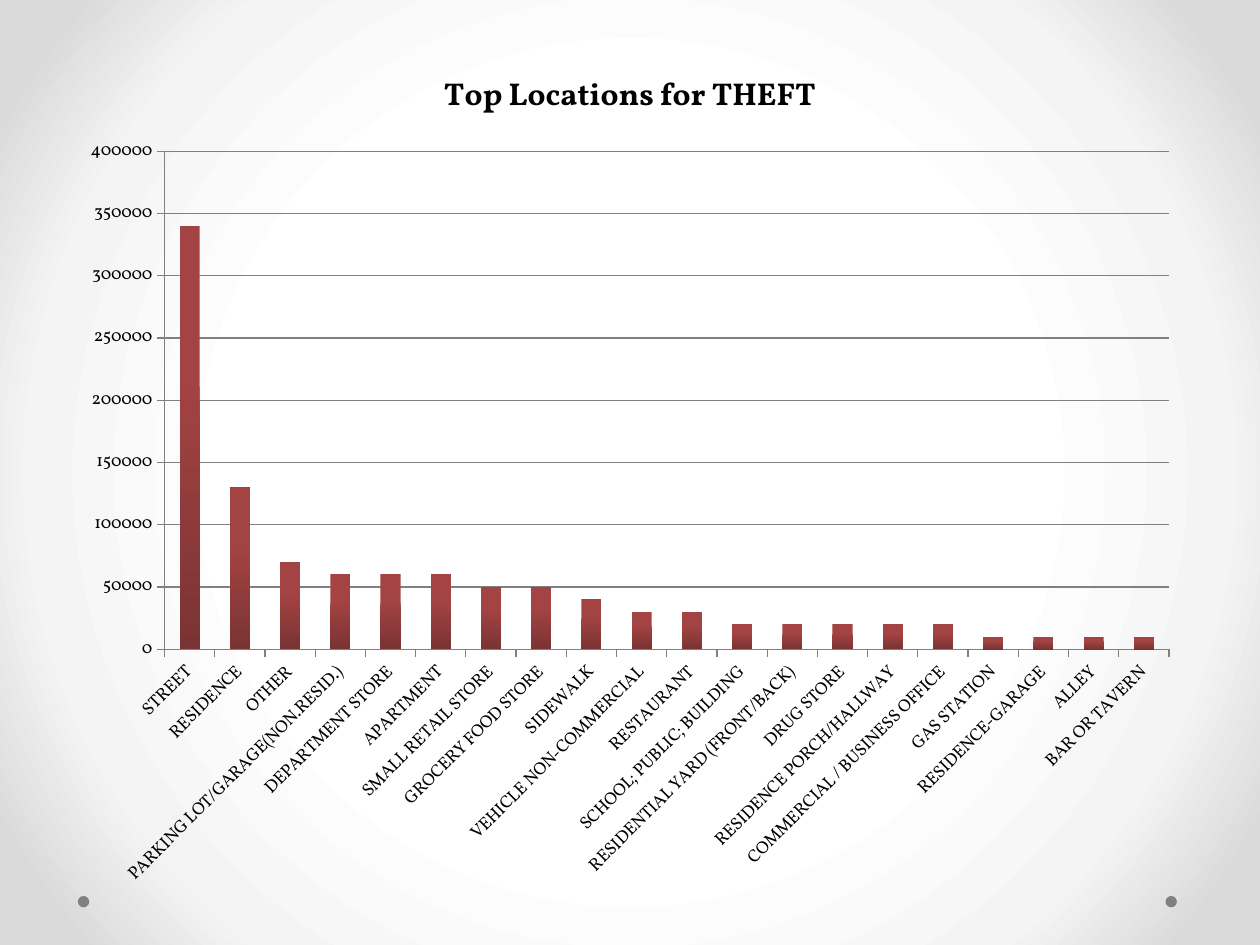
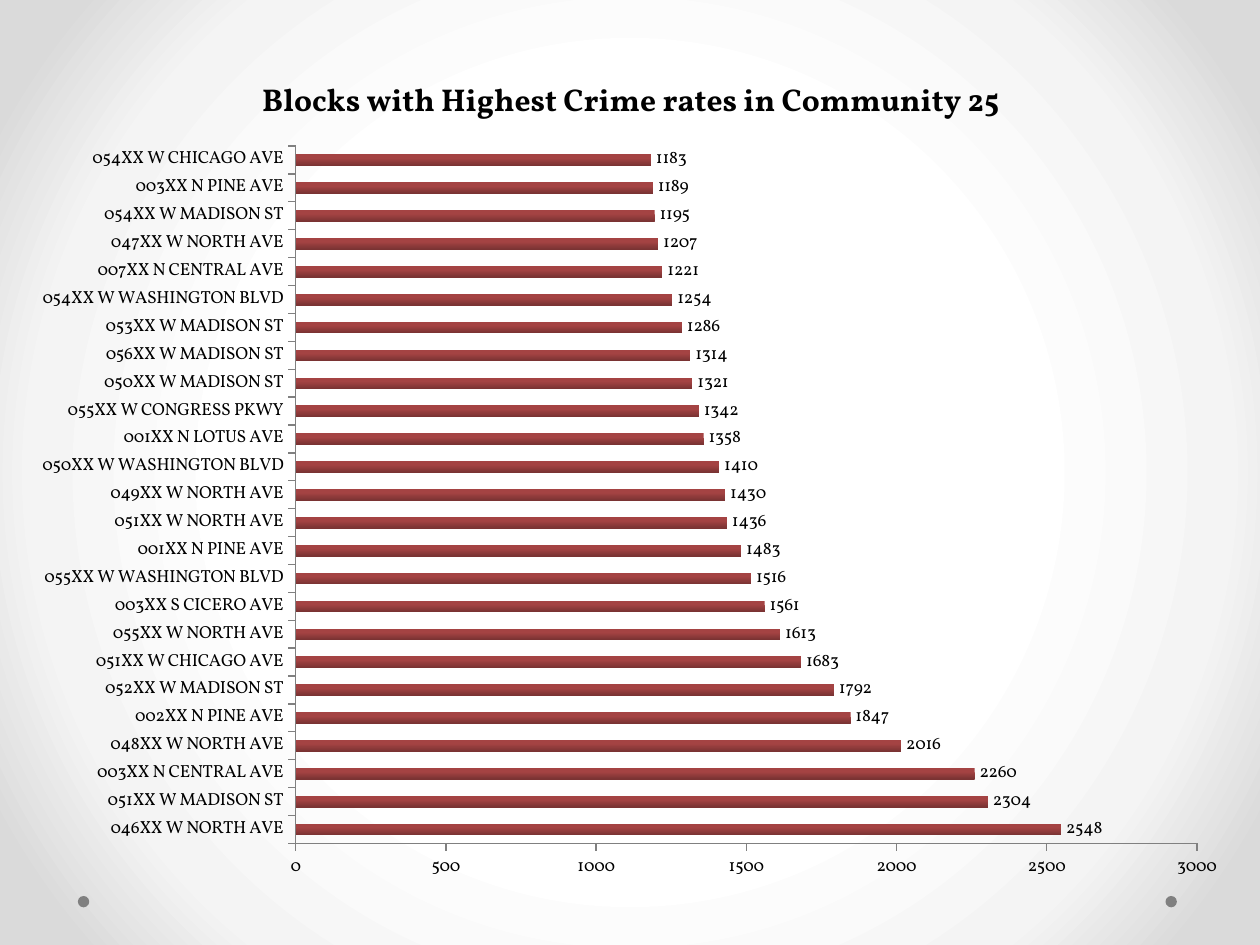
from dataclasses import dataclass
from pptx import Presentation
from pptx.chart.data import CategoryChartData as Data
from pptx.dml.color import RGBColor as Rgb
from pptx.enum.chart import XL_CHART_TYPE as Kind, XL_LABEL_POSITION as Spot
from pptx.enum.chart import XL_TICK_MARK as Tick
from pptx.enum.shapes import MSO_SHAPE as Form
from pptx.oxml import parse_xml
from pptx.oxml.ns import nsdecls, qn
from pptx.util import Pt


@dataclass(frozen=True)
class Theme:
    font: str = "Vollkorn"
    ink: str = "000000"
    gray: str = "808080"
    bar: tuple = ((0.35, "A44343"), (1, "7A3333"))
    glow: tuple = ((50, "FFFFFF"), (76, "F4F4F4"), (92, "DADADA"))
    title: int = 18
    body: int = 10
    line: float = 0.75
    gap: int = 150


def apply(item, style):
    for name, value in style.items():
        setattr(item, name, value)


class Deck:
    def __init__(self, theme):
        self.theme = theme
        self.show = Presentation()
        apply(self.show, {"slide_width": Pt(720), "slide_height": Pt(540)})
        self.slide = None
        self.glow()

    def glow(self):
        master = self.show.slide_master
        master.background.fill.gradient()
        old = master.element.find(".//" + qn("p:bgPr") + "/" + qn("a:gradFill"))
        stops = "".join(
            f'<a:gs pos="{pos * 1000}"><a:srgbClr val="{color}"/></a:gs>'
            for pos, color in self.theme.glow)
        old.getparent().replace(old, parse_xml(
            f'<a:gradFill {nsdecls("a")} rotWithShape="1"><a:gsLst>{stops}</a:gsLst>'
            '<a:path path="circle"><a:fillToRect l="50000" t="50000" '
            'r="50000" b="50000"/></a:path></a:gradFill>'))

    def page(self):
        self.slide = self.show.slides.add_slide(self.show.slide_layouts[6])
        for left in (666, 44.5):
            self.dot(left, 512, 6.5)

    def dot(self, left, top, size):
        dot = self.slide.shapes.add_shape(
            Form.OVAL, Pt(left), Pt(top), Pt(size), Pt(size))
        dot.shadow.inherit = False
        dot.fill.solid()
        dot.fill.fore_color.rgb = Rgb.from_string(self.theme.gray)
        dot.line.fill.background()

    def type(self, font, size, bold=False):
        apply(font, {"name": self.theme.font, "size": Pt(size), "bold": bold})
        font.color.rgb = Rgb.from_string(self.theme.ink)

    def rule(self, line):
        line.width = Pt(self.theme.line)
        line.color.rgb = Rgb.from_string(self.theme.gray)

    def chart(self, kind, title, rows, box, plot):
        data = Data()
        data.categories = [name for name, _ in rows]
        data.add_series("Series 1", [value for _, value in rows])
        chart = self.slide.shapes.add_chart(kind, *map(Pt, box), data).chart
        self.type(chart.font, self.theme.body)
        apply(chart, {"has_legend": False, "has_title": True})
        run = chart.chart_title.text_frame.paragraphs[0].add_run()
        run.text = title
        self.type(run.font, self.theme.title, True)
        self.frame(chart, box, plot)
        self.bars(chart.plots[0])
        for axis in (chart.category_axis, chart.value_axis):
            apply(axis, {"major_tick_mark": Tick.OUTSIDE,
                         "minor_tick_mark": Tick.NONE,
                         "has_major_gridlines": False})
            self.rule(axis.format.line)
            self.type(axis.tick_labels.font, self.theme.body)
        return chart

    def frame(self, chart, box, plot):
        left, top, width, height = box
        x, y, w, h = plot
        parts = {"x": (x - left) / width, "y": (y - top) / height,
                 "w": w / width, "h": h / height}
        marks = '<c:layoutTarget val="inner"/><c:xMode val="edge"/><c:yMode val="edge"/>'
        marks += "".join(f'<c:{key} val="{part:.4f}"/>' for key, part in parts.items())
        area = chart.element.find(".//" + qn("c:plotArea"))
        for old in area.findall(qn("c:layout")):
            area.remove(old)
        area.insert(0, parse_xml(
            f'<c:layout {nsdecls("c")}><c:manualLayout>{marks}'
            '</c:manualLayout></c:layout>'))

    def bars(self, plot):
        apply(plot, {"gap_width": self.theme.gap, "vary_by_categories": False})
        series = plot.series[0]
        series.invert_if_negative = False
        fill = series.format.fill
        fill.gradient()
        fill.gradient_angle = 270
        for stop, (pos, color) in zip(fill.gradient_stops, self.theme.bar):
            stop.position = pos
            stop.color.rgb = Rgb.from_string(color)

    def scale(self, chart, top, step):
        apply(chart.value_axis, {"minimum_scale": 0, "maximum_scale": top,
                                 "major_unit": step})

    def grid(self, chart):
        chart.value_axis.has_major_gridlines = True
        self.rule(chart.value_axis.major_gridlines.format.line)

    def tilt(self, chart, angle):
        body = chart.element.find(
            "/".join([".//" + qn("c:catAx"), qn("c:txPr"), qn("a:bodyPr")]))
        body.set("rot", str(angle * 60000))

    def tags(self, chart):
        plot = chart.plots[0]
        plot.has_data_labels = True
        apply(plot.data_labels, {"show_value": True, "position": Spot.OUTSIDE_END})
        self.type(plot.data_labels.font, self.theme.body)


PLACES = [
    ("STREET", 340000),
    ("RESIDENCE", 130000),
    ("OTHER", 70000),
    ("PARKING LOT/GARAGE(NON.RESID.)", 60000),
    ("DEPARTMENT STORE", 60000),
    ("APARTMENT", 60000),
    ("SMALL RETAIL STORE", 50000),
    ("GROCERY FOOD STORE", 50000),
    ("SIDEWALK", 40000),
    ("VEHICLE NON-COMMERCIAL", 30000),
    ("RESTAURANT", 30000),
    ("SCHOOL; PUBLIC; BUILDING", 20000),
    ("RESIDENTIAL YARD (FRONT/BACK)", 20000),
    ("DRUG STORE", 20000),
    ("RESIDENCE PORCH/HALLWAY", 20000),
    ("COMMERCIAL / BUSINESS OFFICE", 20000),
    ("GAS STATION", 10000),
    ("RESIDENCE-GARAGE", 10000),
    ("ALLEY", 10000),
    ("BAR OR TAVERN", 10000),
]

BLOCKS = [
    ("046XX W NORTH AVE", 2548),
    ("051XX W MADISON ST", 2304),
    ("003XX N CENTRAL AVE", 2260),
    ("048XX W NORTH AVE", 2016),
    ("002XX N PINE AVE", 1847),
    ("052XX W MADISON ST", 1792),
    ("051XX W CHICAGO AVE", 1683),
    ("055XX W NORTH AVE", 1613),
    ("003XX S CICERO AVE", 1561),
    ("055XX W WASHINGTON BLVD", 1516),
    ("001XX N PINE AVE", 1483),
    ("051XX W NORTH AVE", 1436),
    ("049XX W NORTH AVE", 1430),
    ("050XX W WASHINGTON BLVD", 1410),
    ("001XX N LOTUS AVE", 1358),
    ("055XX W CONGRESS PKWY", 1342),
    ("050XX W MADISON ST", 1321),
    ("056XX W MADISON ST", 1314),
    ("053XX W MADISON ST", 1286),
    ("054XX W WASHINGTON BLVD", 1254),
    ("007XX N CENTRAL AVE", 1221),
    ("047XX W NORTH AVE", 1207),
    ("054XX W MADISON ST", 1195),
    ("003XX N PINE AVE", 1189),
    ("054XX W CHICAGO AVE", 1183),
]


def main():
    deck = Deck(Theme())

    deck.page()
    theft = deck.chart(Kind.COLUMN_CLUSTERED, "Top Locations for THEFT", PLACES,
                       (39, 24, 642, 493), (94, 86.5, 574, 284.5))
    deck.scale(theft, 400000, 50000)
    deck.grid(theft)
    deck.tilt(theft, -45)

    deck.page()
    crime = deck.chart(Kind.BAR_CLUSTERED,
                       "Blocks with Highest Crime rates in Community 25", BLOCKS,
                       (11, 27.5, 699, 485), (169, 83.5, 515, 398.5))
    deck.scale(crime, 3000, 500)
    deck.tags(crime)

    deck.show.save("out.pptx")


if __name__ == "__main__":
    main()
